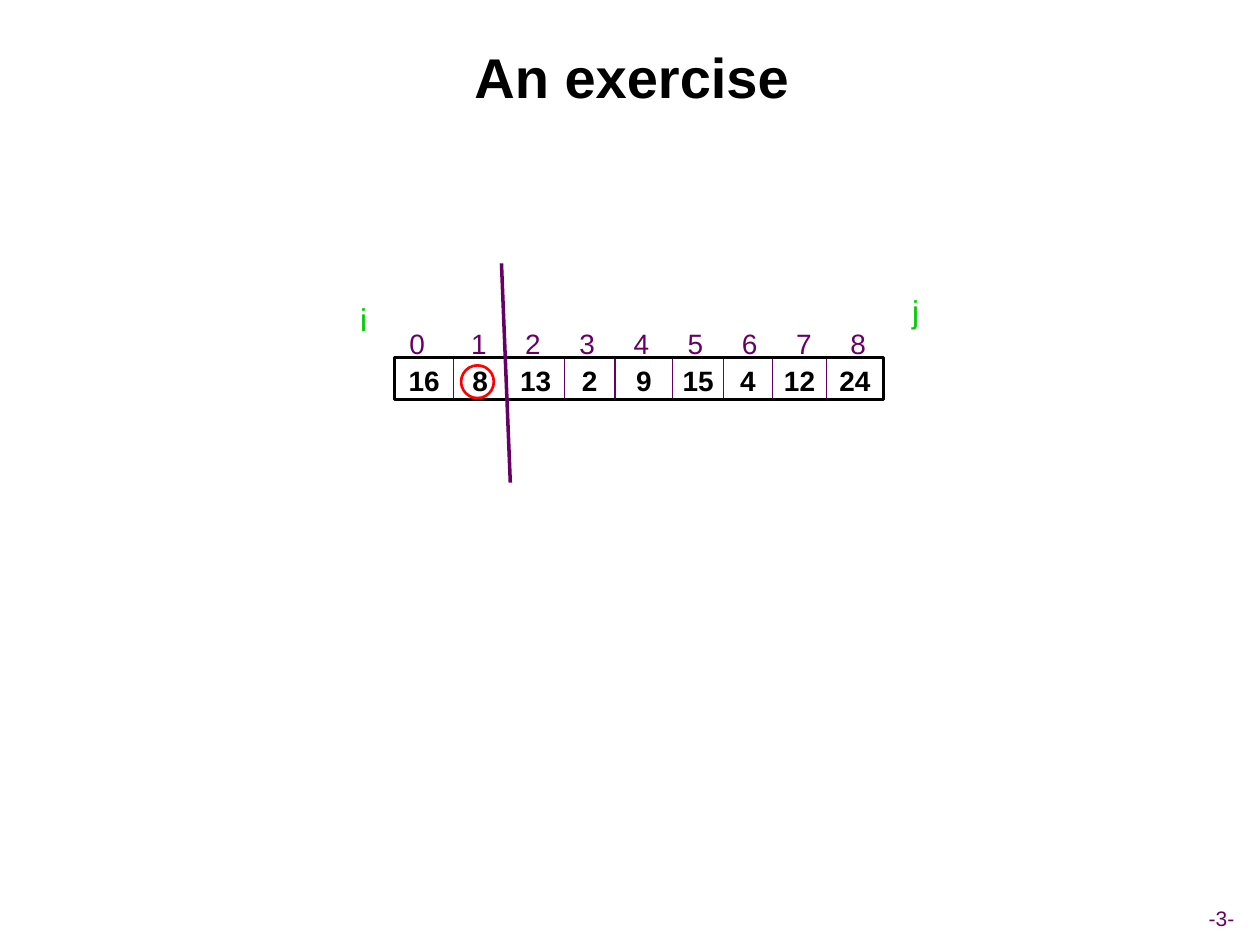
from lxml import etree
from pptx import Presentation
from pptx.dml.color import RGBColor
from pptx.enum import shapes, text
from pptx.oxml import ns
from pptx.util import Inches, Pt

COLORS = {"ink": "000000", "purple": "660066", "green": "00CC00", "red": "FF0000"}

TITLE = "An exercise"
PAGE_NUMBER = "-3-"
VALUES = [16, 8, 13, 2, 9, 15, 4, 12, 24]
CELL_EDGES = [3.13, 3.6, 4.02, 4.48, 4.88, 5.34, 5.74, 6.13, 6.56, 7.01]
ARRAY_TOP, ARRAY_HEIGHT = 2.84, 0.33
DIVIDER_TOP, DIVIDER_BOTTOM = 2.85, 3.16
POINTERS = [("i", 2.76, 2.33), ("j", 7.14, 2.27)]
PIVOT = 1
PIVOT_DIAMETER = 0.26
SPLIT_LINE = (3.98, 2.09, 4.05, 3.83)
FIRST_INDEX_TAB, INDEX_STEP = 0.49, 0.43


def color(name):
    return RGBColor.from_string(COLORS[name])


def add_text(slide, content, left, top, width, height, size=16, ink="ink", bold=False,
             align=text.PP_ALIGN.CENTER, anchor=text.MSO_ANCHOR.TOP, wrap=False):
    box = slide.shapes.add_textbox(Inches(left), Inches(top), Inches(width), Inches(height))
    frame = box.text_frame
    frame.word_wrap = wrap
    if not wrap:
        frame.auto_size = text.MSO_AUTO_SIZE.SHAPE_TO_FIT_TEXT
    frame.vertical_anchor = anchor
    paragraph = frame.paragraphs[0]
    paragraph.alignment = align
    run = paragraph.add_run()
    run.text = content
    run.font.name = "Arial"
    run.font.size = Pt(size)
    run.font.bold = bold
    run.font.color.rgb = color(ink)
    return paragraph


def add_outline(slide, kind, left, top, width, height, ink):
    shape = slide.shapes.add_shape(kind, Inches(left), Inches(top), Inches(width), Inches(height))
    shape.shadow.inherit = False
    shape.fill.background()
    shape.line.color.rgb = color(ink)
    shape.line.width = Pt(1.5)


def add_line(slide, x1, y1, x2, y2, weight):
    line = slide.shapes.add_connector(
        shapes.MSO_CONNECTOR.STRAIGHT, Inches(x1), Inches(y1), Inches(x2), Inches(y2))
    line.line.color.rgb = color("purple")
    line.line.width = Pt(weight)
    etree.SubElement(line._element.spPr, ns.qn("a:effectLst"))


def add_tab_stops(paragraph, positions):
    tab_list = etree.SubElement(paragraph._p.get_or_add_pPr(), ns.qn("a:tabLst"))
    for position in positions:
        etree.SubElement(tab_list, ns.qn("a:tab"), pos=str(Inches(position)), algn="l")


def add_array(slide):
    add_outline(slide, shapes.MSO_SHAPE.RECTANGLE, CELL_EDGES[0], ARRAY_TOP,
                CELL_EDGES[-1] - CELL_EDGES[0], ARRAY_HEIGHT, "ink")
    for x in CELL_EDGES[1:-1]:
        add_line(slide, x, DIVIDER_TOP, x, DIVIDER_BOTTOM, 0.75)

    indices = "\t".join(str(index) for index in range(len(VALUES)))
    paragraph = add_text(slide, indices, 3.15, 2.54, 3.83, 0.37, ink="purple",
                         align=text.PP_ALIGN.LEFT, wrap=True)
    add_tab_stops(paragraph, [FIRST_INDEX_TAB + INDEX_STEP * n for n in range(len(VALUES) - 1)])

    centers = [(left + right) / 2 for left, right in zip(CELL_EDGES, CELL_EDGES[1:])]
    for value, center in zip(VALUES, centers):
        width = 0.45 if value > 9 else 0.32
        add_text(slide, str(value), center - width / 2, ARRAY_TOP, width, 0.37, bold=True)

    add_outline(slide, shapes.MSO_SHAPE.OVAL, centers[PIVOT] - 0.02 - PIVOT_DIAMETER / 2, 2.9,
                PIVOT_DIAMETER, PIVOT_DIAMETER, "red")


def main():
    presentation = Presentation()
    presentation.slide_width, presentation.slide_height = Inches(10), Inches(7.5)
    slide = presentation.slides.add_slide(presentation.slide_layouts[6])

    add_text(slide, PAGE_NUMBER, 9.16, 7.14, 1.07, 0.3, size=12, ink="purple",
             anchor=text.MSO_ANCHOR.MIDDLE)
    add_text(slide, TITLE, 0.38, 0.13, 9.27, 0.95, size=32, bold=True,
             anchor=text.MSO_ANCHOR.MIDDLE, wrap=True)
    add_array(slide)
    for name, left, top in POINTERS:
        add_text(slide, name, left, top, 0.25, 0.4, size=18, ink="green")
    add_line(slide, *SPLIT_LINE, 2)

    presentation.save("out.pptx")


if __name__ == "__main__":
    main()
